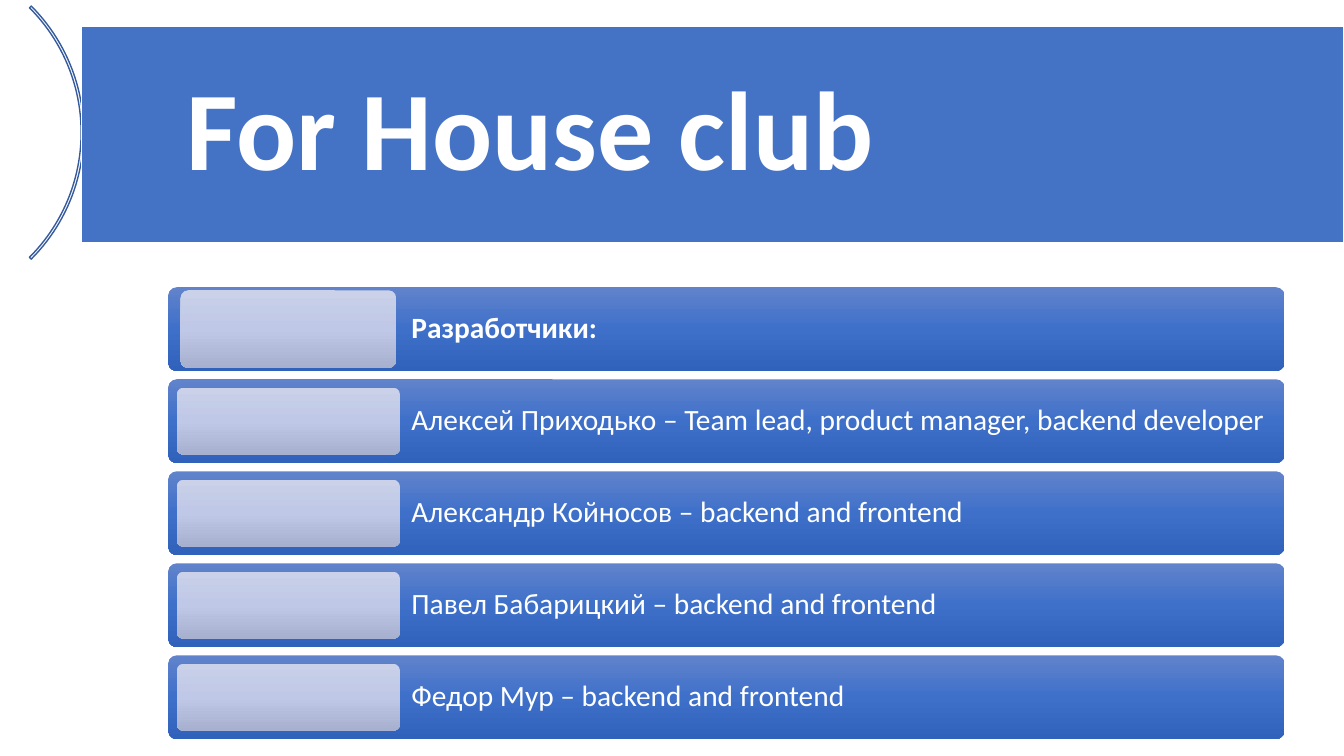
from copy import deepcopy
from pptx import Presentation as Deck
from pptx.dml.color import RGBColor as Rgb
from pptx.enum.shapes import MSO_SHAPE as Kind
from pptx.enum.text import MSO_ANCHOR as Anchor, PP_ALIGN as Align
from pptx.util import Inches as In, Pt

theme = {
    "font": "Calibri",
    "head": 80,
    "body": 21,
    "text": "FFFFFF",
    "band": "4472C4",
    "arc": "365B9D",
    "bar": ("6183CB", "3E70CA", "3062BB"),
    "tile": ("CAD1E9", "BFC8E6", "A7B0CF"),
}

wide, high = 13.33, 7.5
left, top, span, tall = 1.67, 2.85, 11.07, 0.83
step = tall * 1.1
pad = tall / 10
inset = span / 5 + pad

rows = [
    "Разработчики:",
    "Алексей Приходько – Team lead, product manager, backend developer",
    "Александр Койносов – backend and frontend",
    "Павел Бабарицкий – backend and frontend",
    "Федор Мур – backend and frontend",
]


def draw(kind, x, y, w, h, tones=()):
    shape = slide.shapes.add_shape(kind, In(x), In(y), In(w), In(h))
    shape.shadow.inherit = False
    shape.line.fill.background()
    if not tones:
        shape.fill.background()
    elif len(tones) == 1:
        shape.fill.solid()
        shape.fill.fore_color.rgb = Rgb.from_string(tones[0])
    else:
        shape.adjustments[0] = 0.1
        shape.fill.gradient()
        shape.fill.gradient_angle = 270
        stops = shape._element.spPr.find(".//{*}gsLst")
        stops.append(deepcopy(stops[0]))
        for i, stop in enumerate(shape.fill.gradient_stops):
            stop.position = i / 2
            stop.color.rgb = Rgb.from_string(tones[i])
    return shape


def label(shape, text, size, bold, start, edge):
    frame = shape.text_frame
    frame.word_wrap = True
    frame.vertical_anchor = Anchor.MIDDLE
    frame.margin_left = In(start)
    frame.margin_top = frame.margin_right = frame.margin_bottom = In(edge)
    para = frame.paragraphs[0]
    para.alignment = Align.LEFT
    para.line_spacing = 0.9
    run = para.add_run()
    run.text = text
    run.font.name = theme["font"]
    run.font.size = Pt(size)
    run.font.bold = bold
    run.font.color.rgb = Rgb.from_string(theme["text"])


deck = Deck()
deck.slide_width, deck.slide_height = In(wide), In(high)
slide = deck.slides.add_slide(deck.slide_layouts[6])

arc = draw(Kind.BLOCK_ARC, -2.72, -0.46, 3.55, 3.55)
for i, turn in enumerate((189, 27, 0.007)):
    arc.adjustments[i] = turn
arc.line.color.rgb = Rgb.from_string(theme["arc"])
arc.line.width = Pt(1)

band = draw(Kind.RECTANGLE, 0.81, 0.26, wide - 0.81, 2.15, [theme["band"]])
band.line.color.rgb = Rgb.from_string(theme["text"])
band.line.width = Pt(1)
label(band, "For House club", theme["head"], True, 1.04, 0.22)

for i, text in enumerate(rows):
    y = top + i * step
    first = i == 0
    bar = draw(Kind.ROUNDED_RECTANGLE, left, y, span, tall, theme["bar"])
    label(bar, text, theme["body"], first, inset + 0.09, 0.09)
    dx, dy = (0.12, 0.03) if first else (pad, pad)
    draw(Kind.ROUNDED_RECTANGLE, left + dx, y + dy,
         inset + pad - 2 * dx, tall - 2 * dy, theme["tile"])

deck.save("out.pptx")
